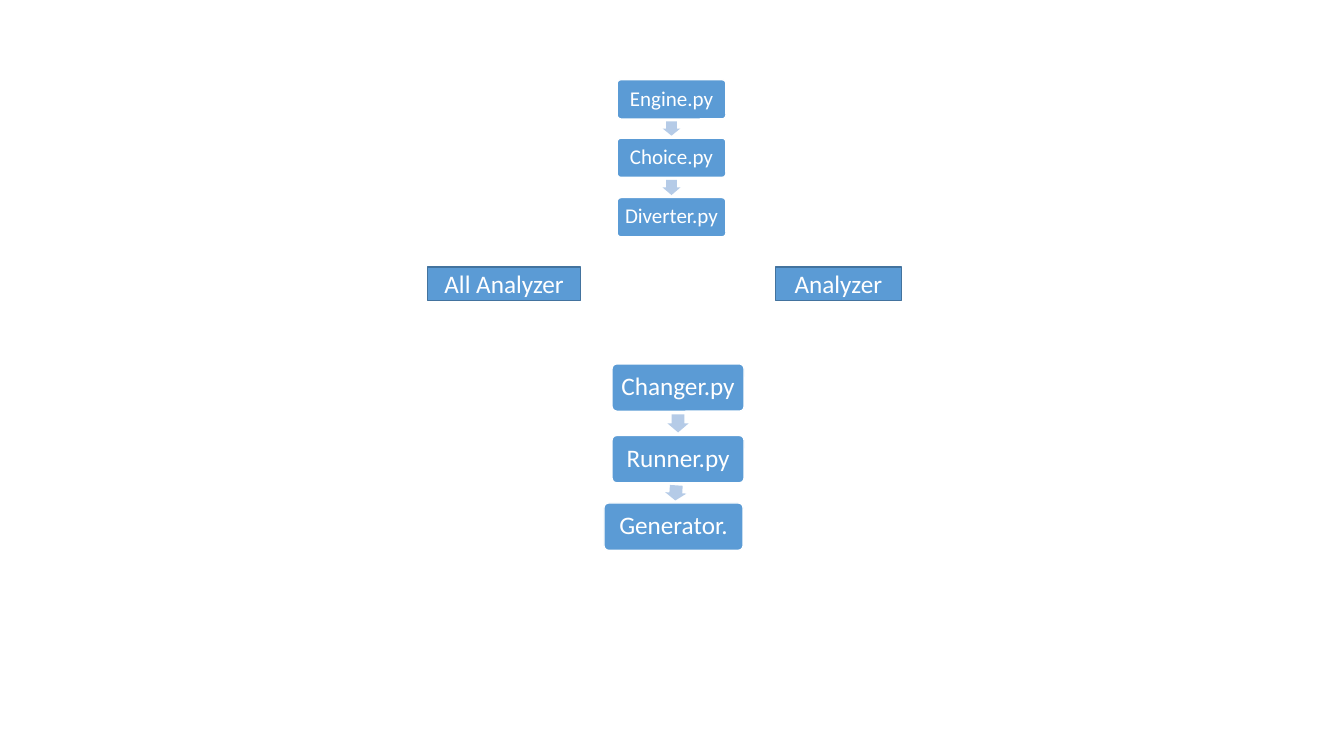
"""Build a slide showing two module chains with a pair of analyzers between them."""
import math
import pptx
import pptx.dml.color
import pptx.enum.shapes
import pptx.enum.text
import pptx.util

COLORS = {"box": "5B9BD5", "arrow": "B5CBE7", "edge": "43739E", "white": "FFFFFF"}
FONT = "Calibri"
CHAINS = [
    {"height": 0.39, "size": 15, "inset": 0.03, "modules": [
        ("Engine.py", 6.12, 0.79, 1.08),
        ("Choice.py", 6.12, 1.37, 1.08),
        ("Diverter.py", 6.12, 1.96, 1.08)]},
    {"height": 0.47, "size": 18, "inset": 0.03, "modules": [
        ("Changer.py", 6.07, 3.61, 1.31),
        ("Runner.py", 6.07, 4.32, 1.31),
        ("Generator.", 5.99, 4.99, 1.38)]},
]
ANALYZERS = [("All Analyzer", 4.24, 1.52), ("Analyzer", 7.69, 1.25)]
ANALYZER_TOP, ANALYZER_HEIGHT, ANALYZER_SIZE = 2.65, 0.33, 18
ARROW_LENGTH, ARROW_BREADTH = 0.75, 0.45

SHAPES = pptx.enum.shapes.MSO_SHAPE
inches = pptx.util.Inches


def rgb(name):
    return pptx.dml.color.RGBColor.from_string(COLORS[name])


def add_part(kind, place, fill, edge=None, adjustments=()):
    part = slide.shapes.add_shape(kind, *map(inches, place))
    part.shadow.inherit = False
    part.fill.solid()
    part.fill.fore_color.rgb = rgb(fill)
    if edge:
        part.line.color.rgb = rgb(edge)
        part.line.width = pptx.util.Pt(1)
    else:
        part.line.fill.background()
    for index, value in enumerate(adjustments):
        part.adjustments[index] = value
    return part


def write_label(part, label, size, frame_format, spacing=1.0):
    frame = part.text_frame
    frame_format = {"word_wrap": True, "vertical_anchor": pptx.enum.text.MSO_ANCHOR.MIDDLE,
                    **frame_format}
    for name, value in frame_format.items():
        setattr(frame, name, value)
    paragraph = frame.paragraphs[0]
    paragraph.text = label
    paragraph.alignment = pptx.enum.text.PP_ALIGN.CENTER
    paragraph.line_spacing = spacing
    for name, value in {"size": pptx.util.Pt(size), "name": FONT}.items():
        setattr(paragraph.font, name, value)
    paragraph.font.color.rgb = rgb("white")


def add_arrow(upper, lower, height):
    (_, x1, y1, w1), (_, x2, y2, w2) = upper, lower
    dx, dy = x2 + w2 / 2 - x1 - w1 / 2, y2 - y1
    center_x, center_y = x1 + w1 / 2 + dx / 2, y1 + (dy + height) / 2
    length, breadth = ARROW_LENGTH * (dy - height), ARROW_BREADTH * height
    place = (center_x - length / 2, center_y - breadth / 2, length, breadth)
    arrow = add_part(SHAPES.RIGHT_ARROW, place, "arrow", adjustments=(0.6, 0.5))
    arrow.rotation = math.degrees(math.atan2(dy, dx))


deck = pptx.Presentation()
deck.slide_width, deck.slide_height = inches(13.33), inches(7.5)
slide = deck.slides.add_slide(deck.slide_layouts[6])

for chain in CHAINS:
    modules, height = chain["modules"], chain["height"]
    insets = {f"margin_{side}": inches(chain["inset"])
              for side in ("left", "right", "top", "bottom")}
    for label, left, top, width in modules:
        module = add_part(SHAPES.ROUNDED_RECTANGLE, (left, top, width, height),
                          "box", "white", (0.1,))
        write_label(module, label, chain["size"], insets, 0.9)
    for upper, lower in zip(modules, modules[1:]):
        add_arrow(upper, lower, height)

for label, left, width in ANALYZERS:
    analyzer = add_part(SHAPES.RECTANGLE, (left, ANALYZER_TOP, width, ANALYZER_HEIGHT),
                        "box", "edge")
    write_label(analyzer, label, ANALYZER_SIZE, {})

deck.save("out.pptx")
